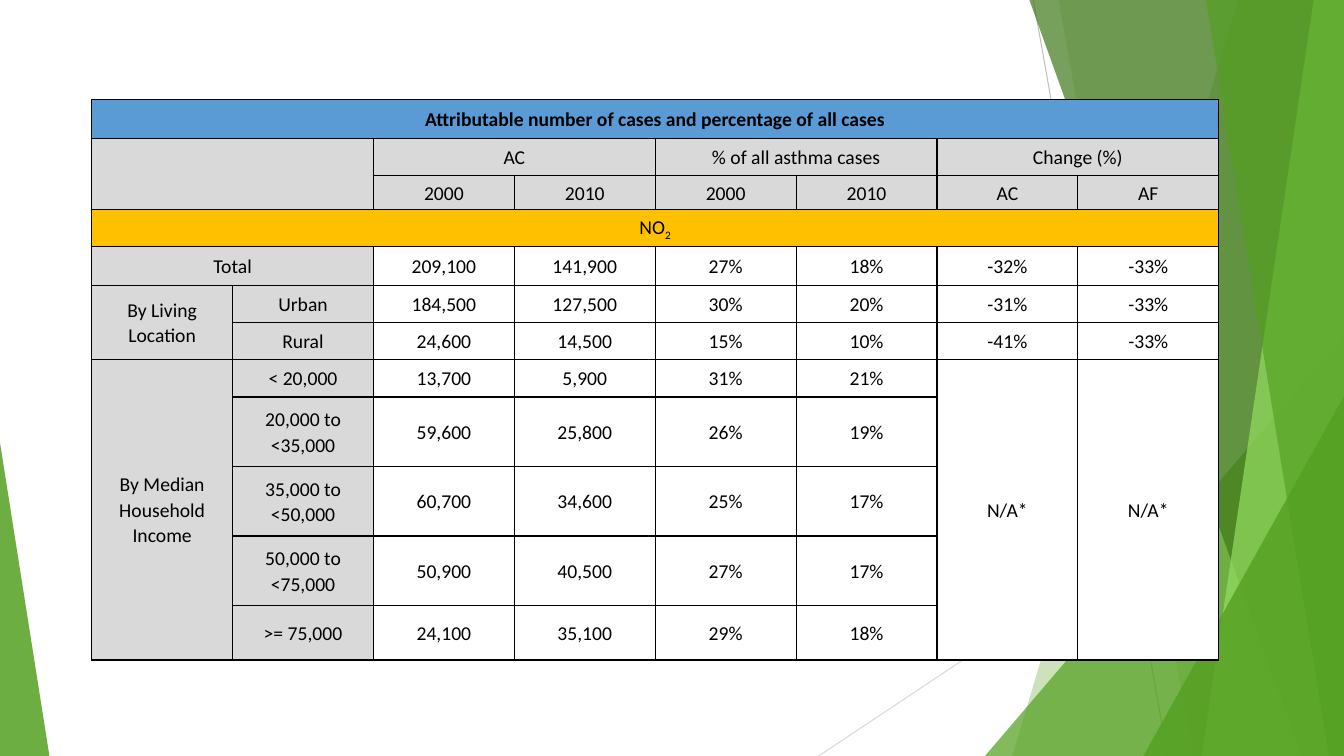
"""Build the slide with a table of attributable asthma cases."""
from lxml import etree
from pptx import Presentation
from pptx.dml.color import RGBColor
from pptx.enum.shapes import MSO_CONNECTOR, MSO_SHAPE
from pptx.enum.text import MSO_ANCHOR, PP_ALIGN
from pptx.oxml.ns import qn
from pptx.util import Inches, Pt

STRAIGHT = MSO_CONNECTOR.STRAIGHT
WEDGE = MSO_SHAPE.ISOSCELES_TRIANGLE
CENTER = PP_ALIGN.CENTER
MIDDLE = MSO_ANCHOR.MIDDLE

WIDE, HIGH = Inches(13.33), Inches(7.5)
GREEN, DARK, LIGHT = "54A021", "3F7819", "94DE61"
BLUE, GOLD, GREY, WHITE, BLACK = "5B9BD5", "FFC000", "D9D9D9", "FFFFFF", "000000"

ROWS = [
    ["Attributable number of cases and percentage of all cases"],
    ["", "", "AC", "", "% of all asthma cases", "", "Change (%)"],
    ["", "", "2000", "2010", "2000", "2010", "AC", "AF"],
    ["NO2"],
    ["Total", "", "209,100", "141,900", "27%", "18%", "-32%", "-33%"],
    ["By Living Location", "Urban", "184,500", "127,500", "30%", "20%", "-31%", "-33%"],
    ["", "Rural", "24,600", "14,500", "15%", "10%", "-41%", "-33%"],
    ["By Median Household Income", "< 20,000", "13,700", "5,900", "31%", "21%",
     "N/A*", "N/A*"],
    ["", "20,000 to <35,000", "59,600", "25,800", "26%", "19%"],
    ["", "35,000 to <50,000", "60,700", "34,600", "25%", "17%"],
    ["", "50,000 to <75,000", "50,900", "40,500", "27%", "17%"],
    ["", ">= 75,000", "24,100", "35,100", "29%", "18%"],
]
COLS = 8
TALL = [0.38, 0.37, 0.34, 0.37, 0.38, 0.37, 0.37, 0.37, 0.69, 0.69, 0.69, 0.54]
BANDS = {0: BLUE, 3: GOLD}
HEADS, LABELS = 3, 2
SPANS = [
    (0, 0, 1, 8), (1, 0, 2, 2), (1, 2, 1, 2), (1, 4, 1, 2), (1, 6, 1, 2),
    (3, 0, 1, 8), (4, 0, 1, 2), (5, 0, 2, 1), (7, 0, 5, 1), (7, 6, 5, 1), (7, 7, 5, 1),
]
CELL = {"vertical_anchor": MIDDLE, "margin_left": Inches(0.04),
        "margin_right": Inches(0.04), "margin_top": 0, "margin_bottom": 0}
PARA = {"alignment": CENTER, "line_spacing": 1.07}
FONT = {"name": "Calibri", "size": Pt(14)}

# Places below are percentages of the slide's width and height.
LINES = [("BFBFBF", 76.89, 0, 86.87, 100), ("D9D9D9", 100, 53.73, 60.92, 100)]
FACETS = [
    (GREEN, 30, "pane", (92.12, 75.32)),
    (GREEN, 20, "pane", (78.77, 88.75)),
    (GREEN, 72, "wedge", (73.29, 44.4, 26.71, 1)),
    (DARK, 70, "pane", (76.59, 96.85)),
    (LIGHT, 70, "pane", (97.75, 89.42)),
    (GREEN, 65, "pane", (89.72, 98.87)),
    (GREEN, 80, "wedge", (85.07, 52.4, 14.93, 1)),
    (GREEN, 85, "wedge", (0, 58.53, 3.68, 0)),
]


def hue(code):
    return RGBColor.from_string(code)


def across(share):
    return round(WIDE * share / 100)


def down(share):
    return round(HIGH * share / 100)


def style(item, looks):
    for key, value in looks.items():
        setattr(item, key, value)


def paint(fill, code):
    fill.solid()
    fill.fore_color.rgb = hue(code)


def line(shapes, code, x1, y1, x2, y2):
    rule = shapes.add_connector(STRAIGHT, across(x1), down(y1), across(x2), down(y2))
    rule.line.color.rgb = hue(code)
    rule.line.width = Pt(0.75)
    etree.SubElement(rule._element.spPr, qn("a:effectLst"))


def pane(shapes, top, foot):
    path = shapes.build_freeform(across(top), 0)
    path.add_line_segments([(WIDE, 0), (WIDE, HIGH), (across(foot), HIGH)], close=True)
    return path.convert_to_shape()


def wedge(shapes, left, top, width, tip):
    shape = shapes.add_shape(WEDGE, across(left), down(top), across(width), down(100 - top))
    shape.adjustments[0] = tip
    return shape


def facet(shapes, code, alpha, kind, place):
    shape = {"pane": pane, "wedge": wedge}[kind](shapes, *place)
    shape.shadow.inherit = False
    shape.line.fill.background()
    paint(shape.fill, code)
    tint = shape._element.spPr.find(".//" + qn("a:srgbClr"))
    etree.SubElement(tint, qn("a:alpha"), val=str(alpha * 1000))


def border(cell):
    props = cell._tc.get_or_add_tcPr()
    for place, side in enumerate(("lnL", "lnR", "lnT", "lnB")):
        edge = etree.Element(qn("a:" + side), w=str(Pt(1)))
        solid = etree.SubElement(edge, qn("a:solidFill"))
        etree.SubElement(solid, qn("a:srgbClr"), val=BLACK)
        props.insert(place, edge)


def write(cell, text, bold):
    para = cell.text_frame.paragraphs[0]
    style(para, PARA)
    parts = ["NO", "2"] if text == "NO2" else [text] if text else []
    for place, part in enumerate(parts):
        run = para.add_run()
        run.text = part
        style(run.font, FONT)
        run.font.bold = bold
        run.font.color.rgb = hue(BLACK)
        if place:
            run.font._element.set("baseline", "-25000")


def grid(shapes):
    frame = shapes.add_table(len(ROWS), COLS, Inches(0.91), Inches(0.99),
                             Inches(11.18), Inches(sum(TALL)))
    table = frame.table
    style(table, {"first_row": False, "horz_banding": False})
    for row, high in zip(table.rows, TALL):
        row.height = Inches(high)
    for r, texts in enumerate(ROWS):
        for c in range(COLS):
            cell = table.cell(r, c)
            style(cell, CELL)
            paint(cell.fill, BANDS.get(r, GREY if r < HEADS or c < LABELS else WHITE))
            border(cell)
            write(cell, texts[c] if c < len(texts) else "", r == 0)
    for r, c, high, wide in SPANS:
        table.cell(r, c).merge(table.cell(r + high - 1, c + wide - 1))


def main():
    deck = Presentation()
    style(deck, {"slide_width": WIDE, "slide_height": HIGH})
    shapes = deck.slides.add_slide(deck.slide_layouts[6]).shapes
    for item in LINES:
        line(shapes, *item)
    for item in FACETS:
        facet(shapes, *item)
    grid(shapes)
    deck.save("out.pptx")


if __name__ == "__main__":
    main()
